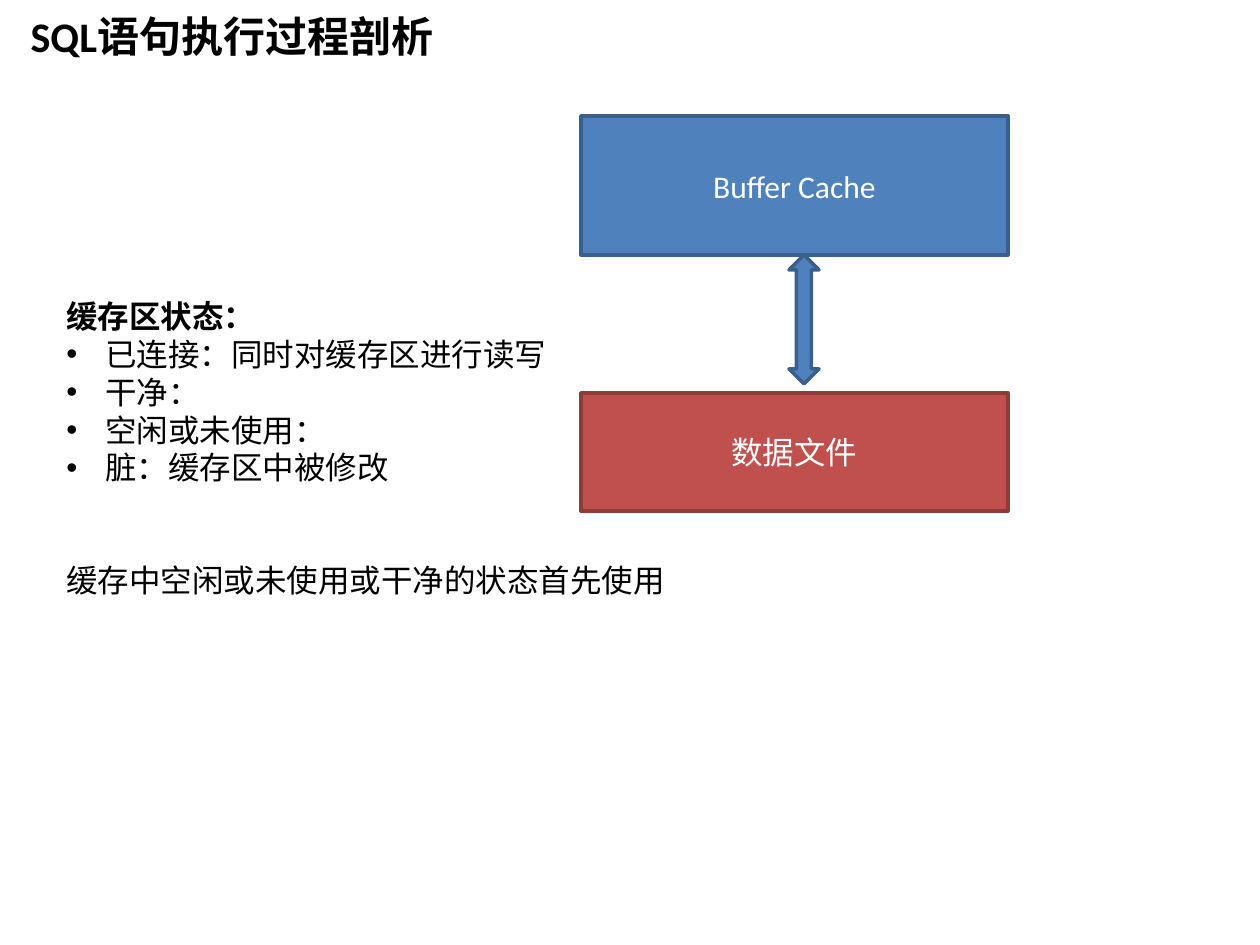
from lxml import etree
from pptx import Presentation
from pptx.dml.color import RGBColor
from pptx.enum.shapes import MSO_SHAPE as SHAPE
from pptx.enum.text import MSO_ANCHOR as ANCHOR, MSO_AUTO_SIZE as AUTO, PP_ALIGN as ALIGN
from pptx.oxml.ns import qn
from pptx.util import Emu, Inches, Pt

FONT = "Calibri"
BLUE, BLUE_EDGE = "4F81BD", "3A5F8C"
RED, RED_EDGE = "C0504D", "8E3B39"
BLACK, WHITE = "000000", "FFFFFF"
STATES = ["已连接：同时对缓存区进行读写", "干净：", "空闲或未使用：", "脏：缓存区中被修改"]


def px(*lengths):
    return [Emu(round(n * 914400 / 126)) for n in lengths]


def color(value):
    return RGBColor.from_string(value)


def format_runs(p, size, ink, bold=False):
    for r in p.runs:
        r.font.name = FONT
        r.font.size = Pt(size)
        r.font.bold = bold
        r.font.color.rgb = color(ink)


def add_title(s, text, box):
    sp = s.shapes.title
    sp.left, sp.top, sp.width, sp.height = px(*box)
    tf = sp.text_frame
    tf.text = text
    tf.word_wrap = True
    tf.auto_size = AUTO.NONE
    tf.vertical_anchor = ANCHOR.TOP
    p = tf.paragraphs[0]
    p.alignment = ALIGN.LEFT
    format_runs(p, 24, BLACK, bold=True)


def add_block(s, kind, box, fill, edge, text=""):
    sp = s.shapes.add_shape(kind, *px(*box))
    sp.shadow.inherit = False
    sp.fill.solid()
    sp.fill.fore_color.rgb = color(fill)
    sp.line.color.rgb = color(edge)
    sp.line.width = Pt(2)
    if text:
        tf = sp.text_frame
        tf.text = text
        tf.vertical_anchor = ANCHOR.MIDDLE
        p = tf.paragraphs[0]
        p.alignment = ALIGN.CENTER
        format_runs(p, 18, WHITE)


def add_bullet(p):
    pPr = p._p.get_or_add_pPr()
    indent = Inches(0.31)
    pPr.set("marL", str(indent))
    pPr.set("indent", str(-indent))
    etree.SubElement(pPr, qn("a:buFont")).set("typeface", "Arial")
    etree.SubElement(pPr, qn("a:buChar")).set("char", "•")


def add_notes(s, heading, bullets, closing, box):
    """Text box with a bold heading, bullets and a closing line set apart."""
    tf = s.shapes.add_textbox(*px(*box)).text_frame
    tf.word_wrap = True
    tf.text = heading
    format_runs(tf.paragraphs[0], 18, BLACK, bold=True)
    for text in bullets:
        p = tf.add_paragraph()
        p.text = text
        add_bullet(p)
        format_runs(p, 18, BLACK)
    p = tf.add_paragraph()
    p.text = closing
    p.space_before = Pt(43)
    format_runs(p, 18, BLACK)


def main():
    prs = Presentation()
    prs.slide_width, prs.slide_height = Inches(10), Inches(7.5)
    s = prs.slides.add_slide(prs.slide_layouts[5])
    add_block(s, SHAPE.RECTANGLE, (581, 393, 427, 118), RED, RED_EDGE, "数据文件")
    add_block(s, SHAPE.RECTANGLE, (581, 116, 427, 139), BLUE, BLUE_EDGE, "Buffer Cache")
    add_block(s, SHAPE.UP_DOWN_ARROW, (789, 255, 30, 129), BLUE, BLUE_EDGE)
    add_notes(s, "缓存区状态：", STATES, "缓存中空闲或未使用或干净的状态首先使用", (54, 291, 814, 318))
    add_title(s, "SQL语句执行过程剖析", (18, 4, 433, 63))
    prs.save("out.pptx")


if __name__ == "__main__":
    main()
